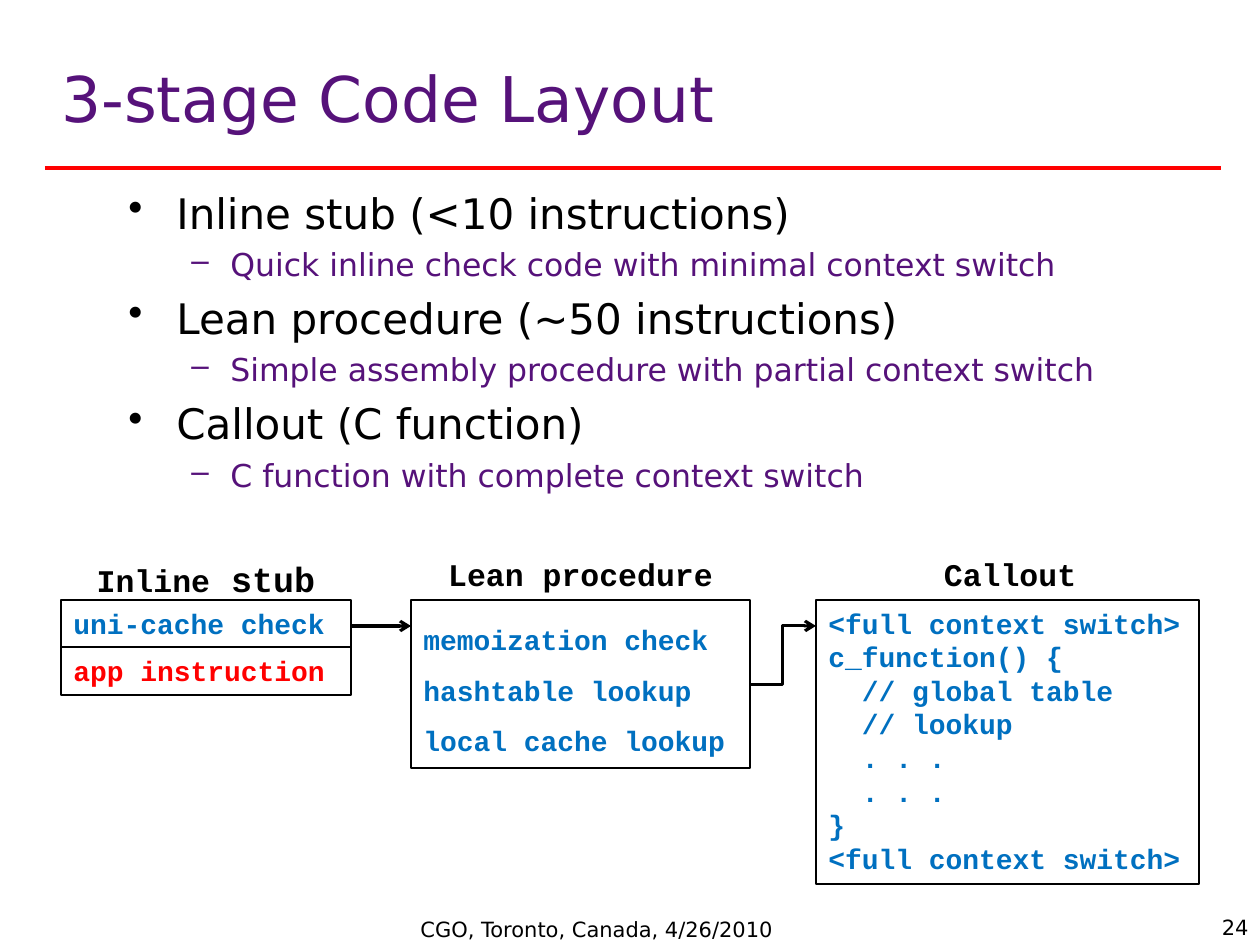
from dataclasses import dataclass

from lxml import etree
from pptx import Presentation
from pptx.dml.color import RGBColor
from pptx.enum.shapes import MSO_CONNECTOR, MSO_SHAPE
from pptx.enum.text import MSO_ANCHOR, MSO_AUTO_SIZE, PP_ALIGN
from pptx.oxml.ns import qn
from pptx.util import Pt

EMU_PER_PX = 914400 / 126
COLORS = {"rule": "FF0000", "purple": "56127A", "black": "000000",
          "code": "0070C0", "app": "FF0000"}
SANS, MONO = "DejaVu Sans", "Courier New"


@dataclass(frozen=True)
class Box:
    left: int
    top: int
    width: int
    height: int


@dataclass(frozen=True)
class BulletLevel:
    mark: str
    margin: int
    hanging: int
    size: int
    color: str
    before: float


@dataclass(frozen=True)
class CodeBlock:
    box: Box
    lines: list[str]
    color: str = "code"
    spacing: float = 1.0


@dataclass(frozen=True)
class Heading:
    box: Box
    runs: list[tuple[str, int]]


def px(length: float) -> int:
    return round(length * EMU_PER_PX)


def rgb(name: str) -> RGBColor:
    return RGBColor.from_string(COLORS[name])


def write(paragraph, text: str, *, size: int, color: str = "black", font: str = SANS,
          bold: bool = False, align=None, spacing: float = 1.0) -> None:
    """Append text to a paragraph; a newline becomes a line break."""
    if align is not None:
        paragraph.alignment = align
    if spacing != 1.0:
        paragraph.line_spacing = spacing
    for number, part in enumerate(text.split("\n")):
        if number:
            paragraph.add_line_break()
        run = paragraph.add_run()
        run.text = part
        run.font.size = Pt(size)
        run.font.name = font
        run.font.bold = bold
        run.font.color.rgb = rgb(color)


def paragraph_at(frame, index: int):
    return frame.add_paragraph() if index else frame.paragraphs[0]


def add_text_frame(slide, box: Box, anchor=MSO_ANCHOR.TOP):
    frame = slide.shapes.add_textbox(
        px(box.left), px(box.top), px(box.width), px(box.height)).text_frame
    frame.word_wrap = True
    frame.vertical_anchor = anchor
    return frame


def add_bullet(paragraph, text: str, level: BulletLevel, first: bool) -> None:
    properties = paragraph._p.get_or_add_pPr()
    properties.set("marL", str(px(level.margin)))
    properties.set("indent", str(-px(level.hanging)))
    etree.SubElement(properties, qn("a:buChar")).set("char", level.mark)
    if not first:
        paragraph.space_before = Pt(level.before)
    write(paragraph, text, size=level.size, color=level.color)


def add_code_block(slide, block: CodeBlock) -> None:
    box = block.box
    shape = slide.shapes.add_shape(
        MSO_SHAPE.RECTANGLE, px(box.left), px(box.top), px(box.width), px(box.height))
    shape.shadow.inherit = False
    shape.fill.background()
    shape.line.color.rgb = rgb("black")
    shape.line.width = Pt(1)
    frame = shape.text_frame
    frame.word_wrap = True
    frame.auto_size = MSO_AUTO_SIZE.SHAPE_TO_FIT_TEXT
    frame.vertical_anchor = MSO_ANCHOR.TOP
    for index, line in enumerate(block.lines):
        write(paragraph_at(frame, index), line, size=16, color=block.color, font=MONO,
              bold=True, align=PP_ALIGN.LEFT, spacing=block.spacing)


def add_line(slide, start: tuple[int, int], end: tuple[int, int], *, color: str,
             width: float, kind=MSO_CONNECTOR.STRAIGHT, arrow: bool = False) -> None:
    connector = slide.shapes.add_connector(kind, *map(px, start + end))
    connector.line.color.rgb = rgb(color)
    connector.line.width = Pt(width)
    if arrow:
        line = connector.line._get_or_add_ln()
        etree.SubElement(line, qn("a:tailEnd")).set("type", "arrow")
    etree.SubElement(connector._element.spPr, qn("a:effectLst"))


TOPIC = BulletLevel("•", 48, 48, 24, "black", 5.6)
DETAIL = BulletLevel("–", 102, 39, 18, "purple", 4.2)
STAGES = [
    ("Inline stub (<10 instructions)",
     "Quick inline check code with minimal context switch"),
    ("Lean procedure (~50 instructions)",
     "Simple assembly procedure with partial context switch"),
    ("Callout (C function)", "C function with complete context switch"),
]

CODE_TOP = 600
STUB = Box(61, CODE_TOP, 290, 47)
APP = Box(61, CODE_TOP + 47, 290, 48)
LEAN = Box(411, CODE_TOP, 339, 168)
CALLOUT = Box(816, CODE_TOP, 383, 284)
CODE_BLOCKS = [
    CodeBlock(STUB, ["uni-cache check"]),
    CodeBlock(LEAN, ["memoization check", "hashtable lookup", "local cache lookup"],
              spacing=1.5),
    CodeBlock(CALLOUT, ["<full context switch>", "c_function() {",
                        "  // global table \n  // lookup", "  . . .", "  . . .", "}",
                        "<full context switch>"]),
    CodeBlock(APP, ["app instruction"], color="app"),
]
HEADINGS = [
    Heading(Box(61, 551, 290, 55), [("Inline", 18), (" stub", 20)]),
    Heading(Box(411, 549, 339, 51), [("Lean procedure", 18)]),
    Heading(Box(810, 549, 400, 51), [("Callout", 18)]),
]


def main() -> None:
    deck = Presentation()
    deck.slide_width, deck.slide_height = px(1260), px(945)
    slide = deck.slides.add_slide(deck.slide_layouts[6])

    # Title and rule
    add_line(slide, (45, 168), (1221, 168), color="rule", width=2.25)
    title = add_text_frame(slide, Box(49, 47, 1169, 115), MSO_ANCHOR.MIDDLE)
    write(title.paragraphs[0], "3-stage Code Layout", size=36, color="purple", spacing=0.8)

    # Stage bullets
    body = add_text_frame(slide, Box(116, 181, 1040, 357))
    for index, (topic, detail) in enumerate(STAGES):
        add_bullet(paragraph_at(body, index), topic, TOPIC, first=index == 0)
        add_bullet(body.add_paragraph(), detail, DETAIL, first=False)

    # Footer and page number
    footer = add_text_frame(slide, Box(408, 910, 396, 42))
    write(footer.paragraphs[0], "CGO, Toronto, Canada, 4/26/2010", size=12)
    page = add_text_frame(slide, Box(1072, 908, 189, 37))
    write(page.paragraphs[0], "24", size=12, align=PP_ALIGN.RIGHT)

    # Code layout diagram
    for block in CODE_BLOCKS:
        add_code_block(slide, block)
    for heading in HEADINGS:
        frame = add_text_frame(slide, heading.box)
        frame.auto_size = MSO_AUTO_SIZE.SHAPE_TO_FIT_TEXT
        for text, size in heading.runs:
            write(frame.paragraphs[0], text, size=size, font=MONO, bold=True,
                  align=PP_ALIGN.CENTER)

    # Calls from one stage to the next
    entry = CODE_TOP + 26
    add_line(slide, (STUB.left + STUB.width, entry), (LEAN.left, entry),
             color="black", width=1.75, arrow=True)
    add_line(slide, (LEAN.left + LEAN.width, 685), (CALLOUT.left, entry),
             color="black", width=1.75, kind=MSO_CONNECTOR.ELBOW, arrow=True)

    deck.save("out.pptx")


if __name__ == "__main__":
    main()
